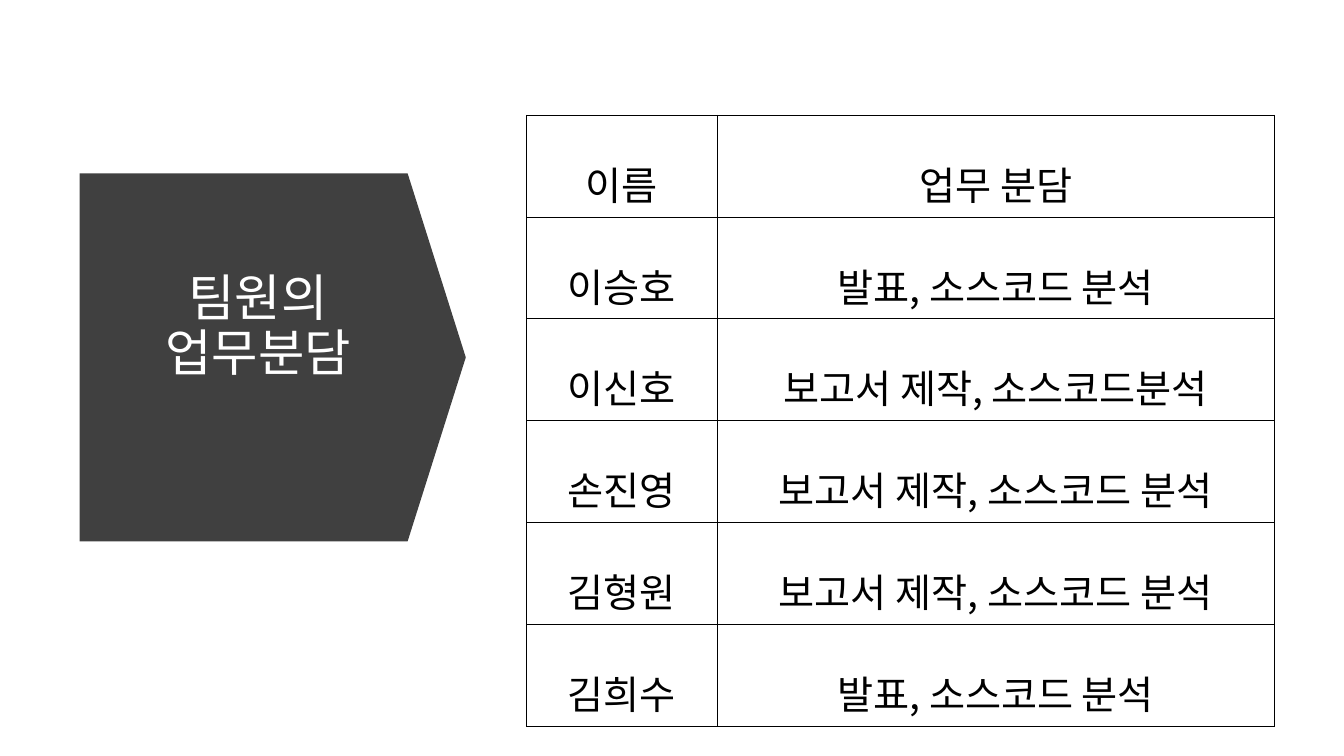
from lxml import etree
from pptx import Presentation
from pptx.dml.color import RGBColor
from pptx.enum import shapes, text
from pptx.oxml.ns import qn
from pptx.util import Inches, Pt

TITLE = "팀원의 업무분담"
DUTIES = [
    ("이름", "업무 분담"),
    ("이승호", "발표, 소스코드 분석"),
    ("이신호", "보고서 제작, 소스코드분석"),
    ("손진영", "보고서 제작, 소스코드 분석"),
    ("김형원", "보고서 제작, 소스코드 분석"),
    ("김희수", "발표, 소스코드 분석"),
]
COLUMN_WIDTHS = (1.89, 5.53)
ROW_HEIGHT = 1.01

THEME = {
    "font": "Noto Sans CJK KR",
    "arrow": "404040",
    "title": {"size": 36, "color": "FFFFFF", "spacing": 0.9},
    "cell": {"size": 28, "color": "000000", "spacing": 1.6},
    "border": {"width": 0.28, "color": "000000"},
}


def write(frame, words, style):
    """Put centred words in a text frame in one of the theme styles."""
    paragraph = frame.paragraphs[0]
    paragraph.alignment = text.PP_ALIGN.CENTER
    paragraph.line_spacing = style["spacing"]
    run = paragraph.add_run()
    run.text = words
    run.font.name = THEME["font"]
    run.font.size = Pt(style["size"])
    run.font.color.rgb = RGBColor.from_string(style["color"])
    east_asian = etree.SubElement(run.font._element, qn("a:ea"))
    east_asian.set("typeface", THEME["font"])


def set_margins(target, margins):
    for side, length in margins.items():
        setattr(target, f"margin_{side}", Inches(length))


def outline(cell):
    """Draw all four borders of a table cell."""
    properties = cell._tc.get_or_add_tcPr()
    for place, side in enumerate(("lnL", "lnR", "lnT", "lnB")):
        line = etree.Element(qn(f"a:{side}"), w=str(Pt(THEME["border"]["width"])))
        fill = etree.SubElement(line, qn("a:solidFill"))
        etree.SubElement(fill, qn("a:srgbClr"), val=THEME["border"]["color"])
        properties.insert(place, line)


def main():
    deck = Presentation()
    deck.slide_width, deck.slide_height = Inches(13.33), Inches(7.5)
    slide = deck.slides.add_slide(deck.slide_layouts[6])

    # Dark arrow, turned to point at the table
    arrow = slide.shapes.add_shape(
        shapes.MSO_SHAPE.DOWN_ARROW,
        Inches(0.88), Inches(1.63), Inches(3.65), Inches(3.83))
    arrow.rotation = 270
    arrow.adjustments[0], arrow.adjustments[1] = 1, 0.158
    arrow.shadow.inherit = False
    arrow.fill.solid()
    arrow.fill.fore_color.rgb = RGBColor.from_string(THEME["arrow"])
    arrow.line.fill.background()

    # Title, lifted above the middle of the arrow
    title = slide.shapes.add_textbox(
        Inches(1.12), Inches(2.15), Inches(2.88), Inches(2.79)).text_frame
    title.word_wrap = True
    title.vertical_anchor = text.MSO_ANCHOR.MIDDLE
    set_margins(title, {"left": 0.1, "right": 0.1, "top": 0.05, "bottom": 0.64})
    write(title, TITLE, THEME["title"])

    # Table of duties
    duties = slide.shapes.add_table(
        len(DUTIES), len(COLUMN_WIDTHS), Inches(5.22), Inches(1.14),
        Inches(sum(COLUMN_WIDTHS)), Inches(ROW_HEIGHT * len(DUTIES))).table
    duties.first_row = duties.horz_banding = False
    for column, width in zip(duties.columns, COLUMN_WIDTHS):
        column.width = Inches(width)
    for row, entries in zip(duties.rows, DUTIES):
        row.height = Inches(ROW_HEIGHT)
        for cell, entry in zip(row.cells, entries):
            cell.vertical_anchor = text.MSO_ANCHOR.MIDDLE
            set_margins(cell, {"left": 0.2, "right": 0.2, "top": 0.06, "bottom": 0.06})
            cell.fill.background()
            outline(cell)
            write(cell.text_frame, entry, THEME["cell"])

    deck.save("out.pptx")


if __name__ == "__main__":
    main()
